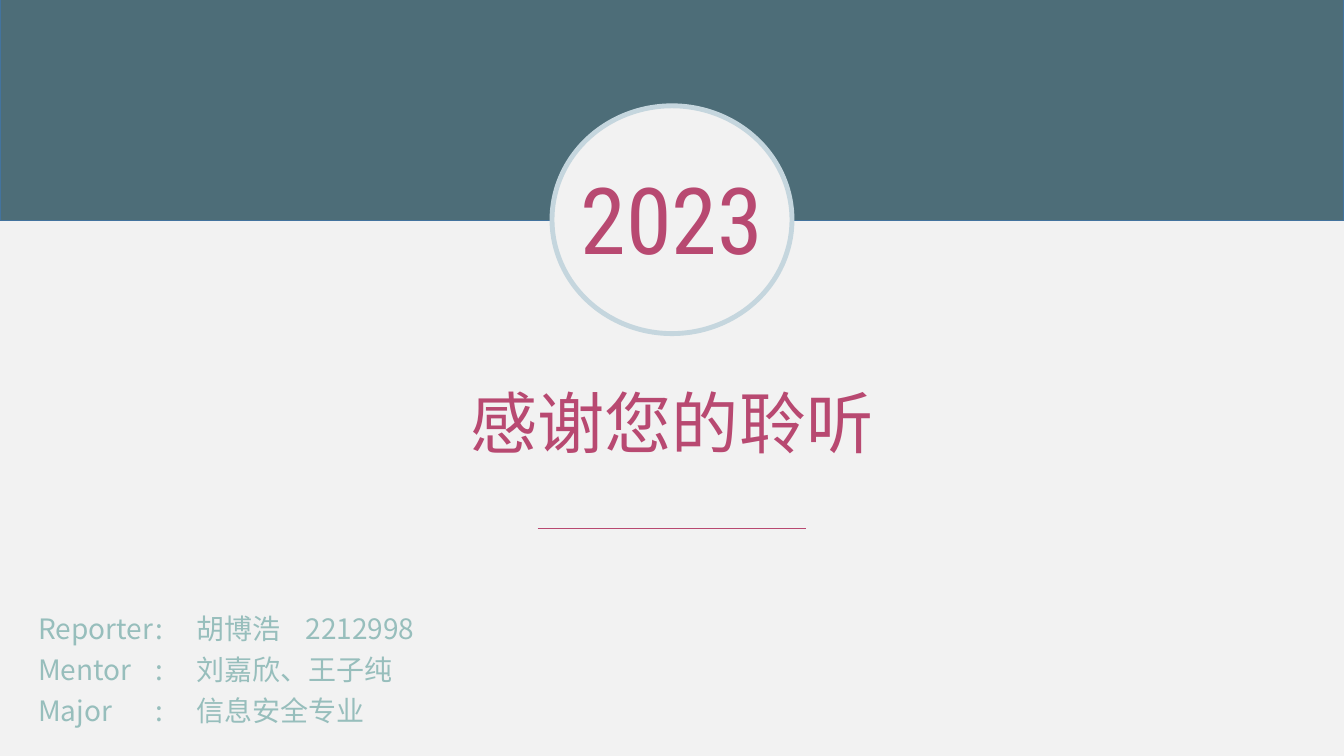
from typing import NamedTuple

from lxml import etree
from pptx import Presentation
from pptx import util as u
from pptx.dml import color
from pptx.enum import shapes, text
from pptx.oxml import ns

SLIDE_WIDTH, SLIDE_HEIGHT = 960, 540
CENTER = SLIDE_WIDTH / 2
PAPER, TEAL, ROSE, MINT = "F2F2F2", "4D6D78", "B84971", "97BEBC"
CHINESE_FONT, YEAR_FONT = "Noto Sans CJK SC", "Roboto Condensed"
CREDIT_TOP, CREDIT_STEP = 433.4, 29.2
CREDIT_TABS = (84, 113, 191)


class Box(NamedTuple):
    left: float
    top: float
    width: float
    height: float

    def points(self) -> list:
        return [u.Pt(value) for value in self]


class Panel(NamedTuple):
    kind: shapes.MSO_SHAPE
    box: Box
    fill: str
    line: str
    line_width: float


class Credit(NamedTuple):
    label: str
    values: tuple


PANELS = (
    Panel(shapes.MSO_SHAPE.RECTANGLE, Box(0, -5, SLIDE_WIDTH, 162.7), TEAL, "43739E", 1),
    Panel(shapes.MSO_SHAPE.OVAL, Box(CENTER - 85.7, 75.6, 171.4, 162.7), PAPER, "C5D6DE", 3.5),
)
CREDITS = (
    Credit("Reporter", ("胡博浩", "2212998")),
    Credit("Mentor", ("刘嘉欣、王子纯",)),
    Credit("Major", ("信息安全专业",)),
)


def rgb(value: str) -> color.RGBColor:
    return color.RGBColor.from_string(value)


def paint(fill, value: str) -> None:
    fill.solid()
    fill.fore_color.rgb = rgb(value)


def add_panel(slide, panel: Panel) -> None:
    shape = slide.shapes.add_shape(panel.kind, *panel.box.points())
    shape.shadow.inherit = False
    paint(shape.fill, panel.fill)
    paint(shape.line.fill, panel.line)
    shape.line.width = u.Pt(panel.line_width)


def add_text(slide, content: str, box: Box, *, size: float, value: str,
             font: str = CHINESE_FONT, align=text.PP_ALIGN.LEFT,
             wrap: bool = True, tabs: tuple = ()) -> None:
    shape = slide.shapes.add_textbox(*box.points())
    shape.text_frame.word_wrap = wrap
    paragraph = shape.text_frame.paragraphs[0]
    paragraph.alignment = align
    run = paragraph.add_run()
    run.text = content
    run.font.size = u.Pt(size)
    run.font.name = font
    run.font.color.rgb = rgb(value)
    east_asian = etree.SubElement(run.font._element, ns.qn("a:ea"))
    east_asian.set("typeface", font)
    if tabs:
        tab_list = etree.SubElement(paragraph._p.get_or_add_pPr(), ns.qn("a:tabLst"))
        for position in tabs:
            etree.SubElement(tab_list, ns.qn("a:tab"), pos=str(u.Pt(position)), algn="l")


def add_rule(slide, left: float, right: float, top: float) -> None:
    """Draw the thin horizontal line below the title."""
    connector = slide.shapes.add_connector(
        shapes.MSO_CONNECTOR.STRAIGHT, u.Pt(left), u.Pt(top), u.Pt(right), u.Pt(top))
    paint(connector.line.fill, ROSE)
    connector.line.width = u.Pt(0.5)
    etree.SubElement(connector._element.spPr, ns.qn("a:effectLst"))


def main() -> None:
    presentation = Presentation()
    presentation.slide_width = u.Pt(SLIDE_WIDTH)
    presentation.slide_height = u.Pt(SLIDE_HEIGHT)
    slide = presentation.slides.add_slide(presentation.slide_layouts[6])
    paint(slide.background.fill, PAPER)

    for panel in PANELS:
        add_panel(slide, panel)
    add_text(slide, "2023", Box(CENTER - 76.3, 112.3, 152.6, 87.1), size=66, value=ROSE,
             font=YEAR_FONT, align=text.PP_ALIGN.CENTER, wrap=False)
    add_text(slide, "感谢您的聆听", Box(CENTER - 267, 268.6, 534, 65.5), size=48, value=ROSE,
             align=text.PP_ALIGN.CENTER)
    add_rule(slide, CENTER - 96, CENTER + 96, 377.3)

    for index, credit in enumerate(CREDITS):
        add_text(slide, "\t".join((credit.label, ":", *credit.values)),
                 Box(20.2, CREDIT_TOP + index * CREDIT_STEP, 290, 31.7),
                 size=20, value=MINT, tabs=CREDIT_TABS)

    presentation.save("out.pptx")


if __name__ == "__main__":
    main()
